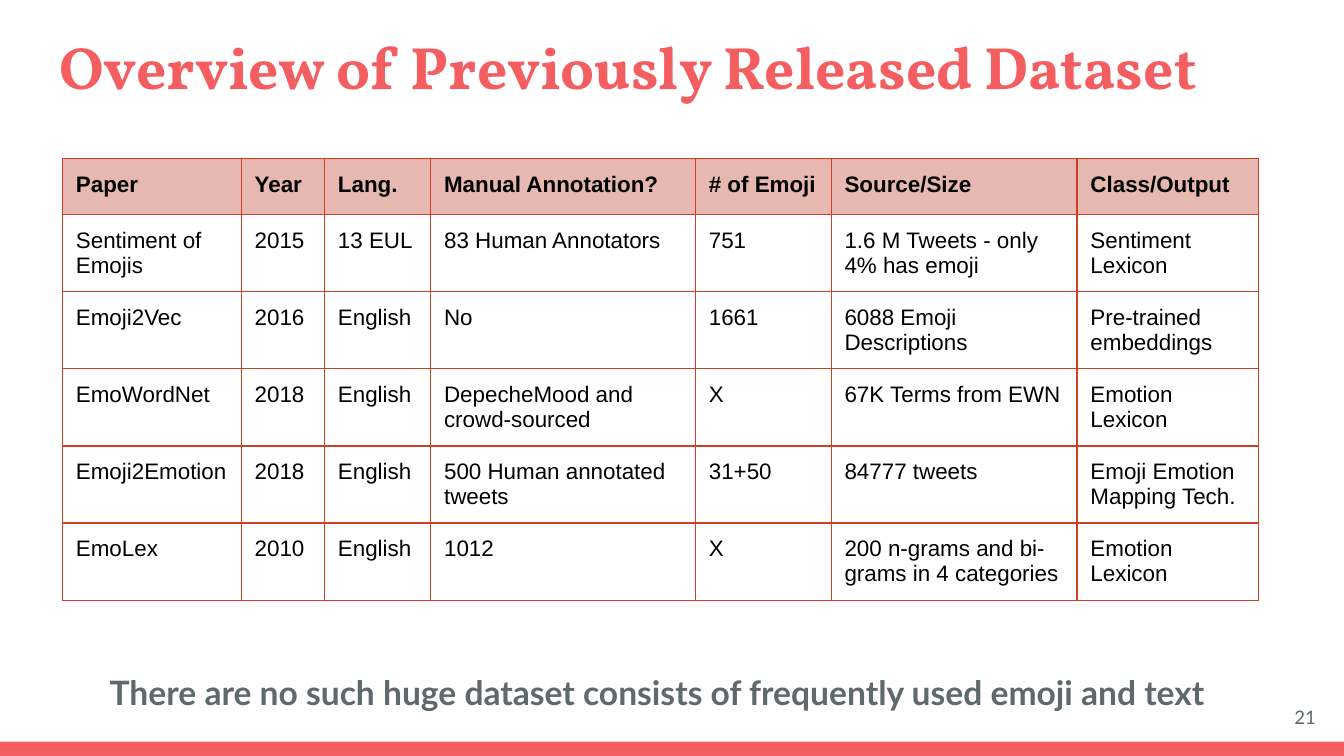
from dataclasses import dataclass

from lxml.etree import SubElement as Sub
from pptx import Presentation
from pptx.dml.color import RGBColor
from pptx.enum.shapes import MSO_SHAPE as Shape
from pptx.enum.text import MSO_ANCHOR as Anchor, MSO_AUTO_SIZE as Fit, PP_ALIGN as Align
from pptx.oxml.ns import qn
from pptx.util import Inches, Pt

WIDE = Inches(10)
HIGH = WIDE * 9 // 16
PAD = Inches(0.1)
CORAL, SLATE, BLACK = "F55E61", "5E696C", "000000"
RUST, BLUSH = "CC4125", "E6B8AF"

COLS = (13.3, 6.2, 7.9, 19.7, 10.1, 18.3, 13.5)  # % of slide width
HEAD, ROW = 7.4, 10.2  # % of slide height
DATA = (
    ("Paper", "Year", "Lang.", "Manual Annotation?", "# of Emoji",
     "Source/Size", "Class/Output"),
    ("Sentiment of Emojis", "2015", "13 EUL", "83 Human Annotators", "751",
     "1.6 M Tweets - only 4% has emoji", "Sentiment Lexicon"),
    ("Emoji2Vec", "2016", "English", "No", "1661",
     "6088 Emoji Descriptions", "Pre-trained embeddings"),
    ("EmoWordNet", "2018", "English", "DepecheMood and crowd-sourced", "X",
     "67K Terms from EWN", "Emotion Lexicon"),
    ("Emoji2Emotion", "2018", "English", "500 Human annotated tweets", "31+50",
     "84777 tweets", "Emoji Emotion Mapping Tech."),
    ("EmoLex", "2010", "English", "1012", "X",
     "200 n-grams and bi-grams in 4 categories", "Emotion Lexicon"),
)


@dataclass(frozen=True)
class Box:
    """A rectangle in percent of the slide's width and height."""
    x: float
    y: float
    w: float
    h: float

    def place(self) -> tuple:
        return across(self.x), down(self.y), across(self.w), down(self.h)


@dataclass(frozen=True)
class Font:
    name: str
    size: float
    tint: str
    bold: bool = False


def across(part: float) -> int:
    return round(WIDE * part / 100)


def down(part: float) -> int:
    return round(HIGH * part / 100)


def color(code: str) -> RGBColor:
    return RGBColor.from_string(code)


def write(frame, text: str, font: Font, align=Align.LEFT):
    para = frame.paragraphs[0]
    para.alignment = align
    run = para.add_run()
    run.text = text
    run.font.name = font.name
    run.font.size = Pt(font.size)
    run.font.bold = font.bold
    run.font.color.rgb = color(font.tint)
    return para


def label(shape, box: Box, text: str, font: Font, align, anchor):
    """Place a text shape, pad it evenly and write one line in it."""
    shape.left, shape.top, shape.width, shape.height = box.place()
    frame = shape.text_frame
    frame.word_wrap = True
    frame.auto_size = Fit.NONE
    frame.vertical_anchor = anchor
    frame.margin_left = frame.margin_right = PAD
    frame.margin_top = frame.margin_bottom = PAD
    return write(frame, text, font, align)


def border(cell, tint: str, width: float) -> None:
    props = cell._tc.get_or_add_tcPr()
    for spot, side in enumerate(("lnL", "lnR", "lnT", "lnB")):
        line = Sub(props, qn(f"a:{side}"), w=str(Pt(width)))
        fill = Sub(line, qn("a:solidFill"))
        Sub(fill, qn("a:srgbClr"), val=tint)
        props.insert(spot, line)


def grid(slide, x: float, y: float) -> None:
    box = Box(x, y, sum(COLS), HEAD + ROW * (len(DATA) - 1))
    table = slide.shapes.add_table(len(DATA), len(COLS), *box.place()).table
    table.first_row = table.horz_banding = False
    for col, part in zip(table.columns, COLS):
        col.width = across(part)
    for r, (row, texts) in enumerate(zip(table.rows, DATA)):
        top = r == 0
        row.height = down(HEAD if top else ROW)
        for cell, text in zip(row.cells, texts):
            cell.margin_left = cell.margin_right = PAD
            cell.margin_top = cell.margin_bottom = PAD
            if top:
                cell.fill.solid()
                cell.fill.fore_color.rgb = color(BLUSH)
            else:
                cell.fill.background()
            border(cell, RUST, 0.75)
            write(cell.text_frame, text, Font("Arial", 12, BLACK, top))


def main() -> None:
    deck = Presentation()
    deck.slide_width, deck.slide_height = WIDE, HIGH
    slide = deck.slides.add_slide(deck.slide_layouts[1])
    shapes = slide.shapes

    bar = shapes.add_shape(Shape.RECTANGLE, *Box(0, 98.1, 100, 1.9).place())
    bar.shadow.inherit = False
    bar.fill.solid()
    bar.fill.fore_color.rgb = color(CORAL)
    bar.line.fill.background()

    label(shapes.title, Box(3.4, 2.1, 93.2, 12.1),
          "Overview of Previously Released Dataset",
          Font("Vollkorn", 32, CORAL, True), Align.LEFT, Anchor.TOP)

    grid(slide, 4.65, 21)

    page = Box(92.9, 91, 6, 7.65)
    label(shapes.add_textbox(*page.place()), page, "21",
          Font("Lato", 10, SLATE), Align.RIGHT, Anchor.MIDDLE)

    note = label(slide.placeholders[1], Box(4.7, 86, 89, 10.3),
                 "There are no such huge dataset consists of frequently used emoji and text ",
                 Font("Lato", 18, SLATE, True), Align.CENTER, Anchor.MIDDLE)
    note.line_spacing = 1.15
    note.space_before = Pt(0)
    props = note._p.get_or_add_pPr()
    props.set("marL", "0")
    props.set("indent", "0")
    Sub(props, qn("a:buNone"))

    deck.save("out.pptx")


if __name__ == "__main__":
    main()
